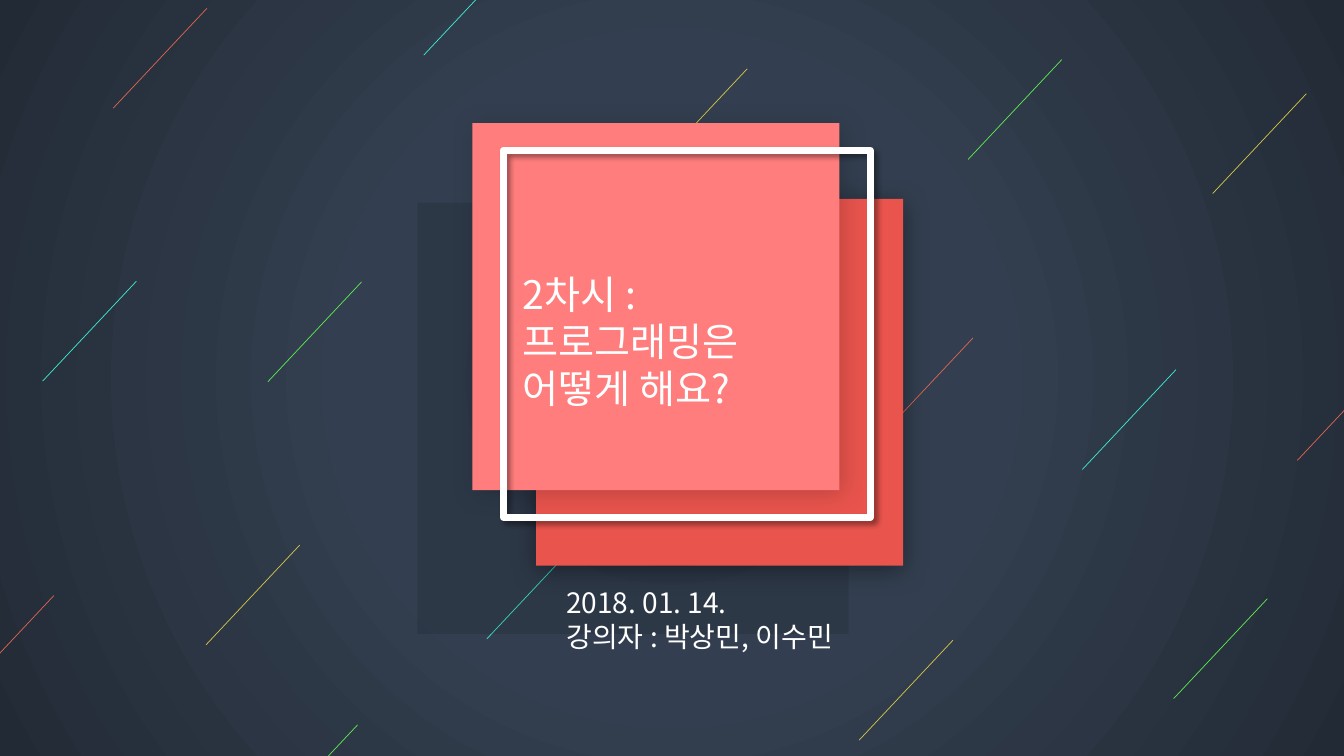
from dataclasses import dataclass
from lxml.etree import SubElement as Sub
from pptx import Presentation
from pptx.dml.color import RGBColor as Rgb
from pptx.enum.shapes import MSO_CONNECTOR as Conn, MSO_SHAPE as Kind
from pptx.enum.text import MSO_ANCHOR as Anchor, MSO_AUTO_SIZE as Fit, PP_ALIGN as Align
from pptx.oxml import parse_xml
from pptx.oxml.ns import nsdecls, qn
from pptx.util import Inches, Pt


@dataclass(frozen=True)
class Theme:
    font: str = "Noto Sans CJK KR"
    head: int = 28
    body: int = 20
    white: str = "FFFFFF"
    black: str = "000000"
    edge: str = "222A35"
    core: str = "333F50"
    pink: str = "FF7D7D"
    coral: str = "E9544D"
    teal: str = "3EECD1"
    red: str = "DF6551"
    gold: str = "D5C745"
    green: str = "5DEC4F"


T = Theme()
WIDE, HIGH = Inches(13.333), Inches(7.5)
RUN, DROP = -6.97, 13.2  # every streak has the same slope and length
SIDE = 27.3  # side of the three bright squares

# Upper ends of the streaks, in percent of the slide
STREAKS = {
    T.teal: [(43.2, 71.3), (87.5, 48.9), (10.15, 37.2), (38.5, -5.9)],
    T.red: [(72.4, 44.7), (15.4, 1.1), (4, 78.8), (103.5, 47.7)],
    T.gold: [(55.6, 9.1), (70.9, 84.7), (22.3, 72.1), (97.2, 12.4)],
    T.green: [(79, 7.9), (26.9, 37.3), (94.3, 79.2), (26.6, 95.9)],
}


def px(share):
    return round(WIDE * share / 100)


def py(share):
    return round(HIGH * share / 100)


def back(slide):
    """Radial background, dark towards the corners."""
    stops = [(0, T.edge), (29, T.core), (41, T.core), (100, T.edge)]
    marks = "".join(f'<a:gs pos="{p * 1000}"><a:srgbClr val="{c}"/></a:gs>'
                    for p, c in stops)
    slide._element.cSld.insert(0, parse_xml(
        f'<p:bg {nsdecls("p", "a")}><p:bgPr><a:gradFill rotWithShape="1">'
        f'<a:gsLst>{marks}</a:gsLst><a:path path="circle">'
        '<a:fillToRect l="50000" t="50000" r="50000" b="50000"/></a:path>'
        '</a:gradFill><a:effectLst/></p:bgPr></p:bg>'))


def shade(alpha, blur, dist, turn):
    """Outer shadow as an effect list."""
    return parse_xml(
        f'<a:effectLst {nsdecls("a")}><a:outerShdw blurRad="{Pt(blur)}" '
        f'dist="{Pt(dist)}" dir="{turn * 60000}" algn="tl" rotWithShape="0">'
        f'<a:srgbClr val="{T.black}"><a:alpha val="{alpha * 1000}"/></a:srgbClr>'
        '</a:outerShdw></a:effectLst>')


def streak(slide, x, y, color):
    line = slide.shapes.add_connector(
        Conn.STRAIGHT, px(x), py(y), px(x + RUN), py(y + DROP))
    line.line.color.rgb = Rgb.from_string(color)
    line.line.width = Pt(0.5)
    Sub(line._element.spPr, qn("a:effectLst"))


def square(slide, x, y, side, fill=None, alpha=None, edge=None, glow=None):
    box = slide.shapes.add_shape(Kind.RECTANGLE, px(x), py(y), px(side), px(side))
    box.shadow.inherit = False
    if fill:
        box.fill.solid()
        box.fill.fore_color.rgb = Rgb.from_string(fill)
    else:
        box.fill.background()
    if alpha:
        tint = box._element.spPr.find(".//" + qn("a:srgbClr"))
        Sub(tint, qn("a:alpha"), val=str(alpha * 1000))
    if edge:
        box.line.color.rgb = Rgb.from_string(edge)
        box.line.width = Pt(5)
    else:
        box.line.fill.background()
    if glow:
        prop = box._element.spPr
        prop.replace(prop.find(qn("a:effectLst")), shade(*glow))


def write(box, lines, size, glow=None):
    """Fill a box with left-aligned white lines."""
    frame = box.text_frame
    frame.word_wrap = True
    frame.auto_size = Fit.SHAPE_TO_FIT_TEXT
    frame.vertical_anchor = Anchor.TOP
    for i, text in enumerate(lines):
        para = frame.add_paragraph() if i else frame.paragraphs[0]
        para.alignment = Align.LEFT
        run = para.add_run()
        run.text = text
        run.font.size = Pt(size)
        run.font.color.rgb = Rgb.from_string(T.white)
        if glow:
            run._r.rPr.append(shade(*glow))
        run.font.name = T.font
        Sub(run._r.rPr, qn("a:ea"), typeface=T.font)


def place(box, x, y, w, h):
    box.left, box.top, box.width, box.height = px(x), py(y), px(w), py(h)


def main():
    deck = Presentation()
    deck.slide_width, deck.slide_height = WIDE, HIGH
    slide = deck.slides.add_slide(deck.slide_layouts[5])
    back(slide)

    # Streaks
    for color, ends in STREAKS.items():
        for x, y in ends:
            streak(slide, x, y, color)

    # Stacked squares
    square(slide, 31.05, 26.8, 32.1, T.black, alpha=10)
    square(slide, 39.9, 26.3, SIDE, T.coral, glow=(40, 19, 3, 90))
    square(slide, 35.15, 16.3, SIDE, T.pink, glow=(19, 18, 3, 45))
    square(slide, 37.45, 19.9, SIDE, edge=T.white, glow=(40, 4, 3, 45))

    # Title, raised above the squares
    title = slide.shapes.title
    place(title, 38.15, 35.05, 25.75, 13.9)
    write(title, ["2차시 : 프로그래밍은 어떻게 해요?"], T.head)
    slide.shapes._spTree.append(title._element)

    # Date and teachers
    note = slide.shapes.add_textbox(px(41.4), py(76.8), px(25.1), py(10.25))
    write(note, ["2018. 01. 14.", "강의자 : 박상민, 이수민"], T.body, (40, 4, 3, 45))

    deck.save("out.pptx")


if __name__ == "__main__":
    main()
